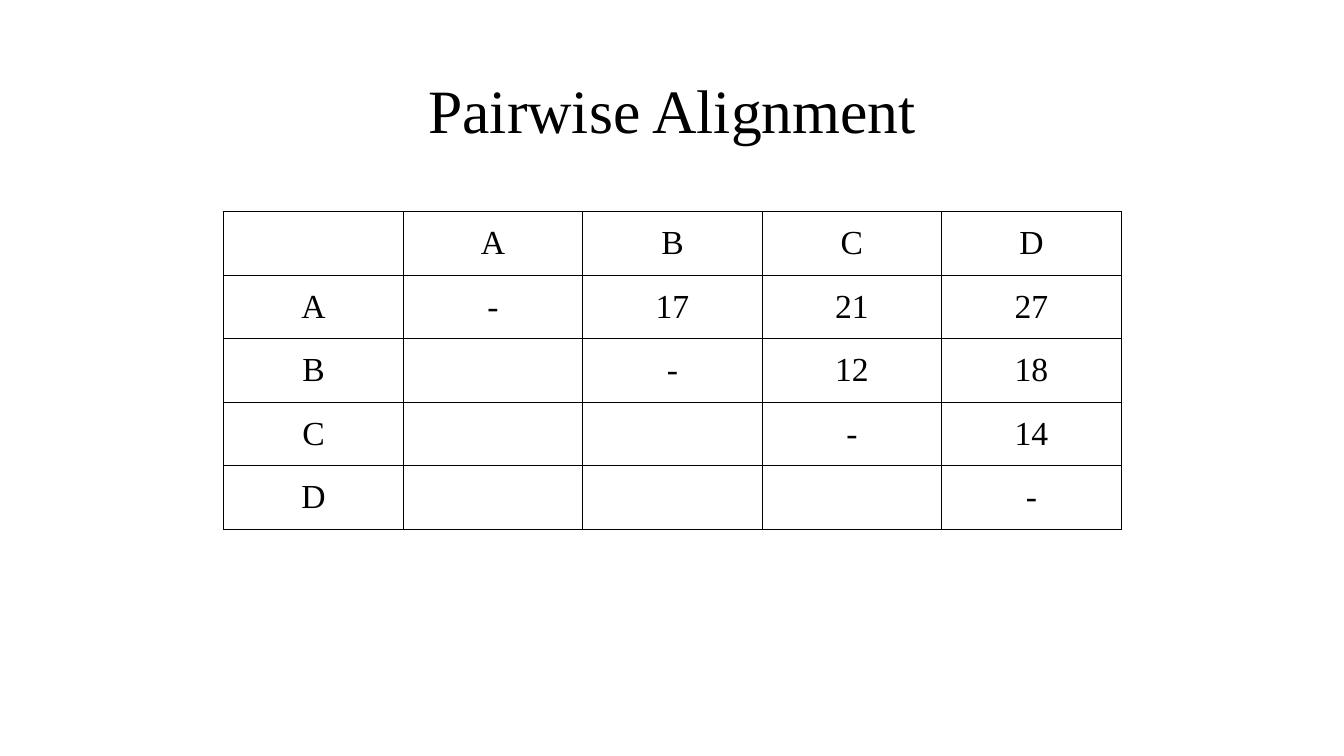
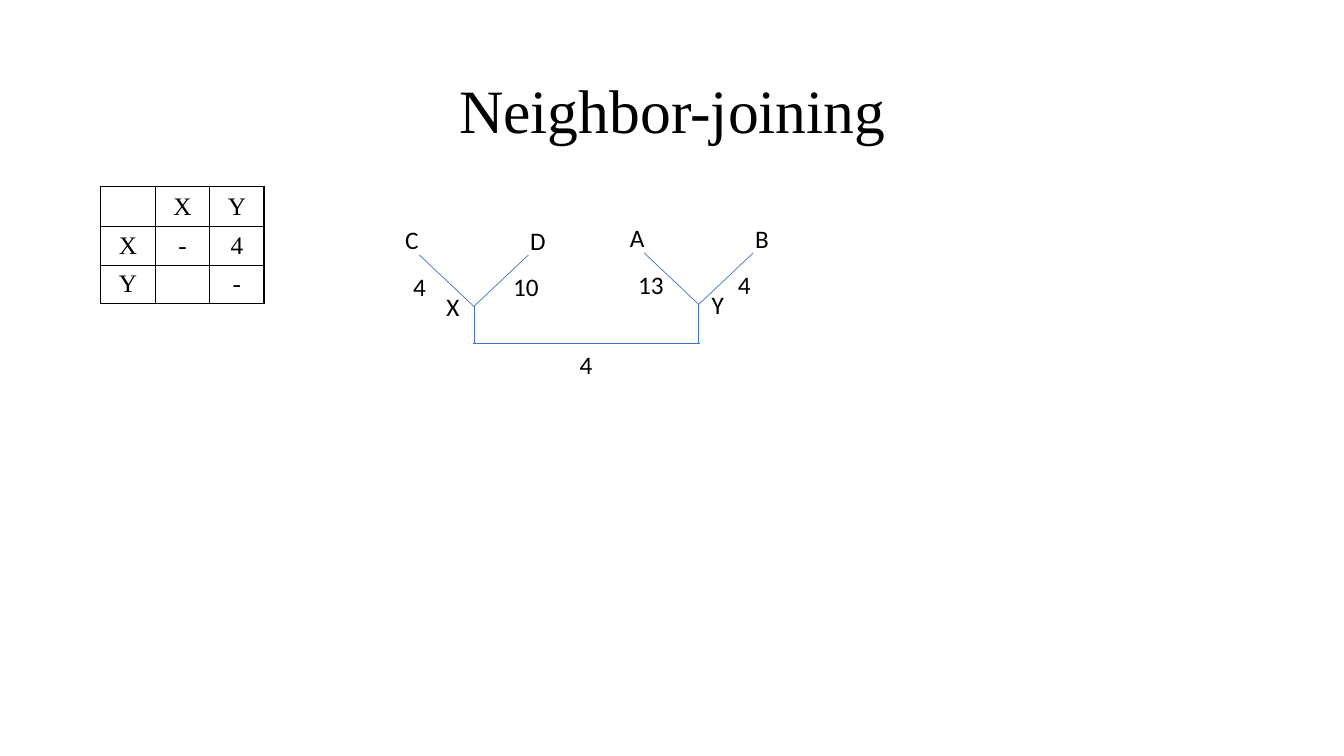
from dataclasses import dataclass

from lxml import etree
from pptx import Presentation
from pptx.dml.color import RGBColor
from pptx.enum.shapes import MSO_CONNECTOR
from pptx.enum.text import MSO_ANCHOR, MSO_AUTO_SIZE, PP_ALIGN
from pptx.oxml import parse_xml
from pptx.oxml.ns import nsdecls, qn
from pptx.util import Pt

PX = 9144  # 100 px to the inch


@dataclass(frozen=True)
class Theme:
    ink: RGBColor = RGBColor(0x00, 0x00, 0x00)
    branch: RGBColor = RGBColor(0x44, 0x72, 0xC4)
    serif: str = "Times New Roman"
    sans: str = "Calibri"
    title: int = 44
    large: int = 24
    small: int = 18


theme = Theme()


def style(p, font, size, align):
    p.alignment = align
    for r in p.runs:
        r.font.name, r.font.size = font, Pt(size)
        r.font.color.rgb = theme.ink


def emu(*lengths):
    return [n * PX for n in lengths]


prs = Presentation()
prs.slide_width, prs.slide_height = emu(1333, 750)

# Each slide: title, then its distance table
score_rows = [
    ["", "A", "B", "C", "D"],
    ["A", "-", "17", "21", "27"],
    ["B", "", "-", "12", "18"],
    ["C", "", "", "-", "14"],
    ["D", "", "", "", "-"],
]
joined_rows = [["", "X", "Y"], ["X", "-", "4"], ["Y", "", "-"]]
pages = [
    ("Pairwise Alignment", score_rows, (222, 210), 178, [63, 63, 63, 63, 63], theme.large),
    ("Neighbor-joining", joined_rows, (100, 185), 54, [40, 38, 38], theme.small),
]
for title, rows, (left, top), col_width, row_heights, size in pages:
    s = prs.slides.add_slide(prs.slide_layouts[5])
    sp = s.shapes.title
    sp.left, sp.top, sp.width, sp.height = emu(92, 40, 1150, 145)
    tf = sp.text_frame
    tf.text = title
    tf.vertical_anchor = MSO_ANCHOR.MIDDLE
    tf.paragraphs[0].line_spacing = 0.9
    style(tf.paragraphs[0], theme.serif, theme.title, PP_ALIGN.CENTER)

    count = len(rows)
    box = emu(left, top, col_width * count, sum(row_heights))
    table = s.shapes.add_table(count, count, *box).table
    table.first_row = table.horz_banding = False
    for column in table.columns:
        column.width = col_width * PX
    for row, height, values in zip(table.rows, row_heights, rows):
        row.height = height * PX
        for cell, value in zip(row.cells, values):
            cell.text = value
            cell.vertical_anchor = MSO_ANCHOR.MIDDLE
            cell.margin_top = cell.margin_bottom = 0
            style(cell.text_frame.paragraphs[0], theme.serif, size, PP_ALIGN.CENTER)
            tcPr = cell._tc.get_or_add_tcPr()
            for side in "LRTB":
                tcPr.append(parse_xml(
                    f'<a:ln{side} {nsdecls("a")} w="{Pt(1)}"><a:solidFill>'
                    f'<a:srgbClr val="{theme.ink}"/></a:solidFill></a:ln{side}>'))
            cell.fill.background()

# Tree on the last slide: two forks joined by a base line
base_y = 341
lines = [(469, base_y, 694, base_y)]
labels = [("4", 565, 342)]
forks = [
    (470, 304, "X", -37, ("C", "4"), ("D", "10")),
    (693, 302, "Y", 3, ("A", "13"), ("B", "4")),
]
for x, y, node, node_dx, (left_leaf, left_length), (right_leaf, right_length) in forks:
    lines += [(x - 54, y - 51, x, y), (x + 54, y - 51, x, y), (x, y, x, base_y)]
    labels += [
        (left_leaf, x - 78, y - 86),
        (right_leaf, x + 46, y - 85),
        (node, x + node_dx, y - 20),
        (left_length, x - 70, y - 40),
        (right_length, x + 29, y - 40),
    ]

for ends in lines:
    line = s.shapes.add_connector(MSO_CONNECTOR.STRAIGHT, *emu(*ends))
    line.line.color.rgb = theme.branch
    line.line.width = Pt(0.5)
    etree.SubElement(line._element.spPr, qn("a:effectLst"))

for text, x, y in labels:
    width = 22 + 12 * len(text)
    tf = s.shapes.add_textbox(*emu(x, y, width, 40)).text_frame
    tf.text = text
    tf.word_wrap = False
    tf.auto_size = MSO_AUTO_SIZE.SHAPE_TO_FIT_TEXT
    style(tf.paragraphs[0], theme.sans, theme.small, PP_ALIGN.LEFT)

prs.save("out.pptx")
